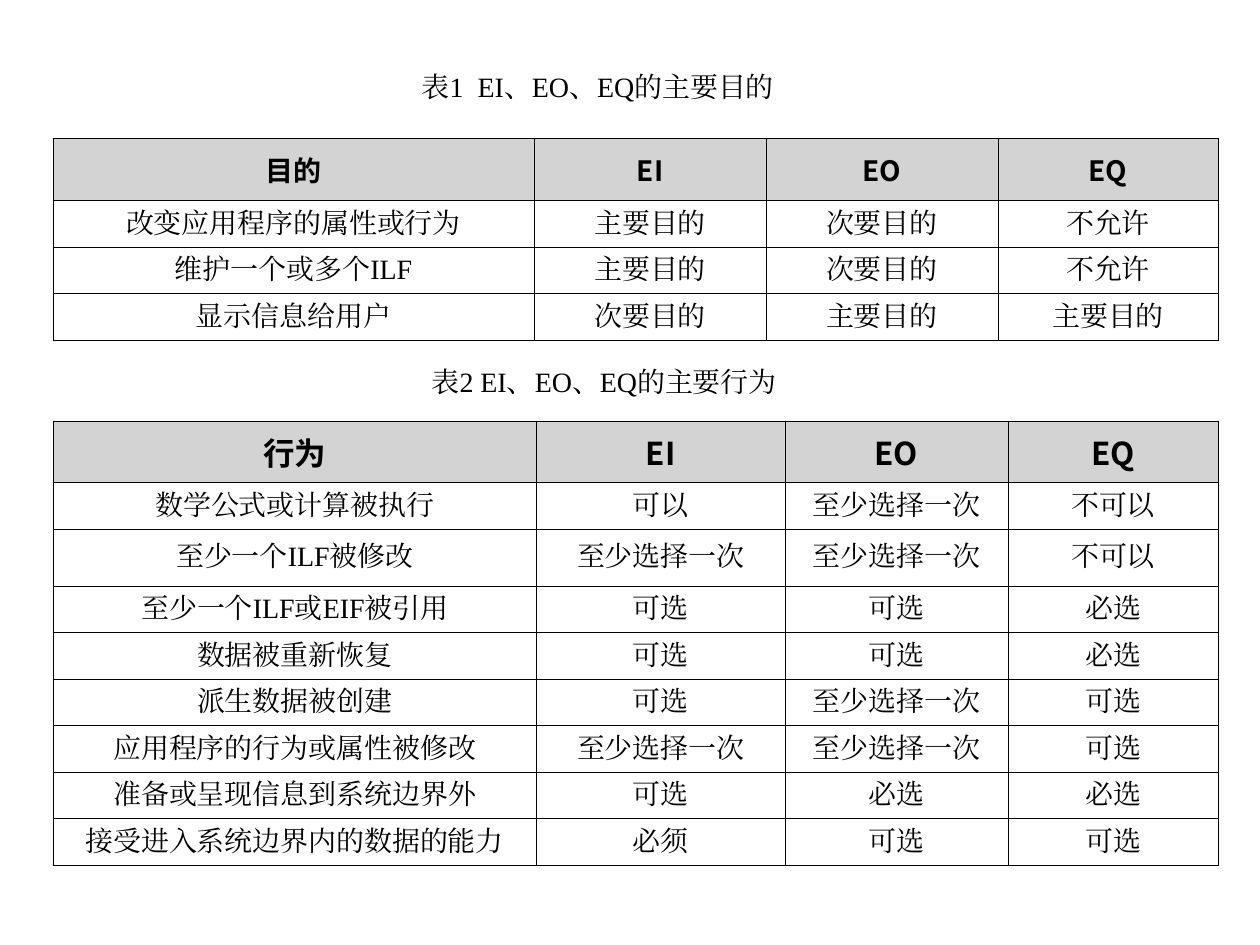
from lxml.etree import SubElement
from pptx import Presentation
from pptx.dml.color import RGBColor
from pptx.enum.text import MSO_ANCHOR, MSO_AUTO_SIZE, PP_ALIGN
from pptx.oxml import parse_xml
from pptx.oxml.ns import nsdecls, qn
from pptx.util import Inches, Pt

BLACK = RGBColor(0x00, 0x00, 0x00)
HEADER_GRAY = RGBColor(0xD3, 0xD3, 0xD3)
BODY_FONT = "Times New Roman"
HEADER_FONT = "Noto Sans CJK SC"
BODY_FORMAT = {"name": BODY_FONT, "size": Pt(16), "bold": False}
BORDER_WIDTH = Pt(0.34)

PURPOSE_ROWS = [
    ("目的", "EI", "EO", "EQ"),
    ("改变应用程序的属性或行为", "主要目的", "次要目的", "不允许"),
    ("维护一个或多个ILF", "主要目的", "次要目的", "不允许"),
    ("显示信息给用户", "次要目的", "主要目的", "主要目的"),
]
BEHAVIOUR_ROWS = [
    ("行为", "EI", "EO", "EQ"),
    ("数学公式或计算被执行", "可以", "至少选择一次", "不可以"),
    ("至少一个ILF被修改", "至少选择一次", "至少选择一次", "不可以"),
    ("至少一个ILF或EIF被引用", "可选", "可选", "必选"),
    ("数据被重新恢复", "可选", "可选", "必选"),
    ("派生数据被创建", "可选", "至少选择一次", "可选"),
    ("应用程序的行为或属性被修改", "至少选择一次", "至少选择一次", "可选"),
    ("准备或呈现信息到系统边界外", "可选", "必选", "必选"),
    ("接受进入系统边界内的数据的能力", "必须", "可选", "可选"),
]


def write_text(paragraph, text, font_format):
    """Write one centred run with the given font format."""
    paragraph.alignment = PP_ALIGN.CENTER
    run = paragraph.add_run()
    run.text = text
    for name, value in font_format.items():
        setattr(run.font, name, value)
    run.font.color.rgb = BLACK
    east_asian = SubElement(run.font._element, qn("a:ea"))
    east_asian.set("typeface", font_format["name"])


def add_caption(slide, text, left, top, width, height, wrap):
    """Place a table caption in the given box."""
    frame = slide.shapes.add_textbox(left, top, width, height).text_frame
    frame.word_wrap = wrap
    frame.auto_size = MSO_AUTO_SIZE.SHAPE_TO_FIT_TEXT
    frame.vertical_anchor = MSO_ANCHOR.MIDDLE
    write_text(frame.paragraphs[0], text, BODY_FORMAT)


def add_borders(cell):
    """Draw a thin black line on each side of a cell."""
    properties = cell._tc.get_or_add_tcPr()
    for index, side in enumerate(("lnL", "lnR", "lnT", "lnB")):
        properties.insert(index, parse_xml(
            f'<a:{side} {nsdecls("a")} w="{BORDER_WIDTH}"><a:solidFill>'
            f'<a:srgbClr val="{BLACK}"/></a:solidFill></a:{side}>'))


def add_grid(slide, rows, left, top, column_widths, row_heights, header_size):
    """Place a bordered table with a gray header row."""
    table = slide.shapes.add_table(
        len(rows), len(column_widths), left, top,
        Inches(sum(column_widths)), Inches(sum(row_heights))).table
    table.first_row = table.horz_banding = False
    for column, width in zip(table.columns, column_widths):
        column.width = Inches(width)
    for row, height in zip(table.rows, row_heights):
        row.height = Inches(height)
    header_format = {"name": HEADER_FONT, "size": header_size, "bold": True}
    for row_index, texts in enumerate(rows):
        for column_index, text in enumerate(texts):
            cell = table.cell(row_index, column_index)
            cell.vertical_anchor = MSO_ANCHOR.MIDDLE
            if row_index == 0:
                cell.fill.solid()
                cell.fill.fore_color.rgb = HEADER_GRAY
            else:
                cell.fill.background()
            add_borders(cell)
            write_text(cell.text_frame.paragraphs[0], text,
                       BODY_FORMAT if row_index else header_format)


def main():
    """Build the slide with two captioned tables."""
    presentation = Presentation()
    presentation.slide_width = Inches(10)
    presentation.slide_height = Inches(7.5)
    slide = presentation.slides.add_slide(presentation.slide_layouts[6])
    add_caption(slide, "表1  EI、EO、EQ的主要目的", Inches(3.09), Inches(0.5),
                Inches(3.31), Inches(0.37), False)
    add_grid(slide, PURPOSE_ROWS, Inches(0.42), Inches(1.1),
             [3.82, 1.84, 1.84, 1.75], [0.49] + [0.37] * 3, Pt(16))
    add_caption(slide, "表2 EI、EO、EQ的主要行为", Inches(2.67), Inches(2.84),
                Inches(4.25), Inches(0.37), True)
    add_grid(slide, BEHAVIOUR_ROWS, Inches(0.42), Inches(3.34),
             [3.84, 1.97, 1.77, 1.67], [0.49, 0.37, 0.45] + [0.37] * 6, Pt(18))
    presentation.save("out.pptx")


if __name__ == "__main__":
    main()
